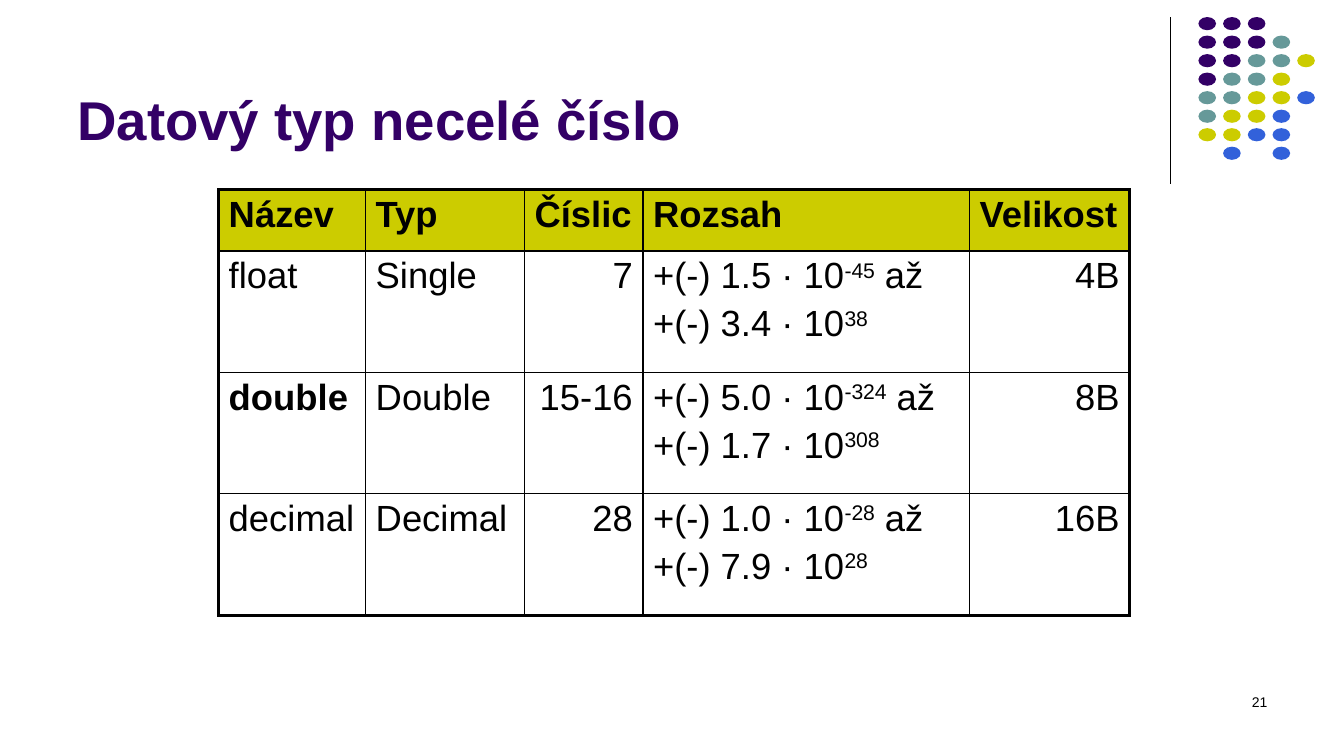
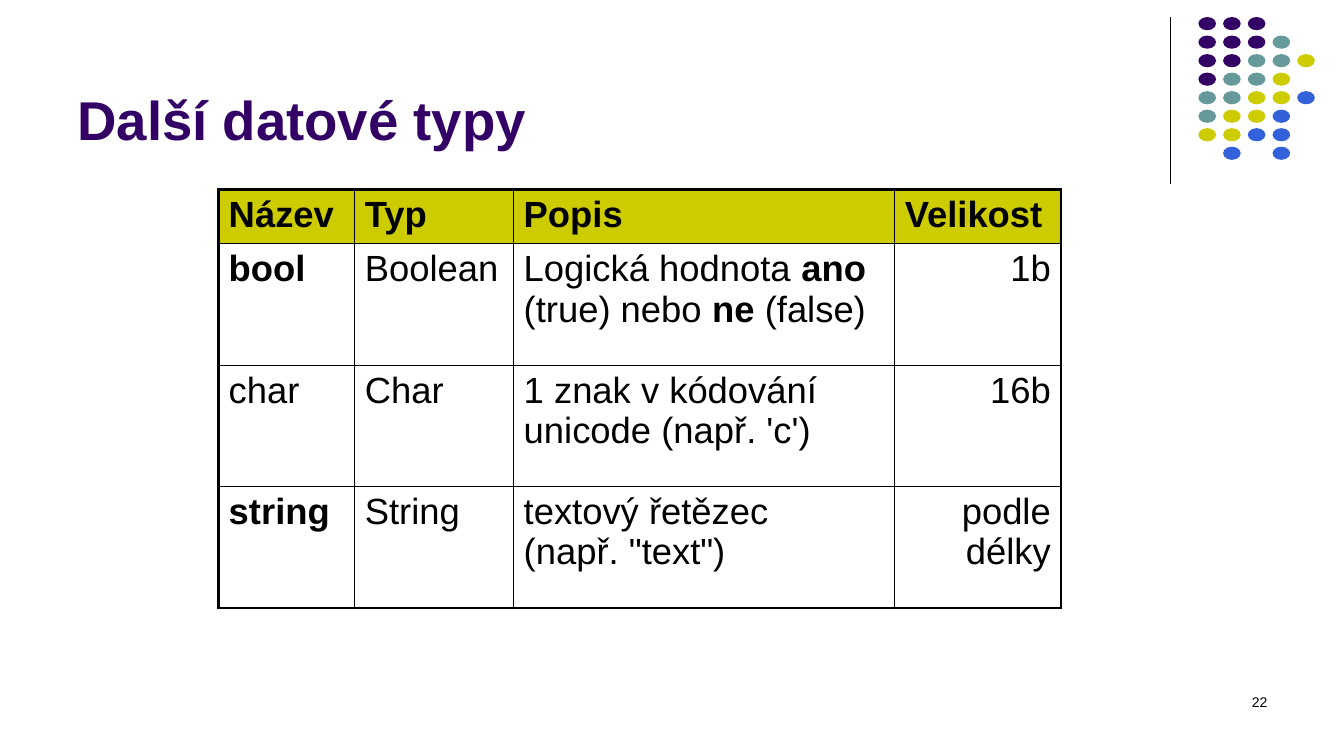
import lxml.etree
import pptx
import pptx.dml.color
import pptx.enum.shapes
import pptx.enum.text
import pptx.oxml.ns
import pptx.util

Pt = pptx.util.Pt
ALIGN = pptx.enum.text.PP_ALIGN
FONT = "Arial"
COLORS = {
    "black": "000000",
    "purple": "330066",
    "teal": "669999",
    "yellow": "CCCC00",
    "blue": "3261DA",
}
DOT_COLORS = {"P": "purple", "T": "teal", "Y": "yellow", "B": "blue"}
DOT_ROWS = ["PPP", "PPPT", "PPTTY", "PTTY", "TTYYB", "TYYB", "YYBB", " B B"]
TITLE_BOX = (48, 9.4, 792, 102.2)
DOTS_BOX = (856, 12.2, 83.2, 102)
NUMBER_BOX = (688.3, 491.8, 224, 36)
TABLE_ORIGIN = (156.2, 135.4)
TABLE_SIZE = 26
OUTER_BORDER = 2.25
INNER_BORDER = 1


def color(name):
    return pptx.dml.color.RGBColor.from_string(COLORS[name])


def points(box):
    return [Pt(length) for length in box]


def write(paragraph, text, size, color_name="black", bold=False, raised=False):
    for index, line in enumerate(text.split("\n")):
        if index:
            paragraph.add_line_break()
        run = paragraph.add_run()
        run.text = line
        run.font.name = FONT
        run.font.size = Pt(size)
        run.font.bold = bold
        run.font.color.rgb = color(color_name)
        if raised:
            run._r.get_or_add_rPr().set("baseline", "30000")


def bold(text):
    return [[(text, {"bold": True})]]


def plain(text):
    return [[(text, {})]]


def power_range(low, low_exponent, high, high_exponent):
    raised = {"raised": True}
    return [
        [(f"+(-) {low} · 10", {}), (low_exponent, raised), (" až", {})],
        [(f"+(-) {high} · 10", {}), (high_exponent, raised)],
    ]


def draw_dots(group, box):
    left, top, width, height = box
    dot_width, dot_height = 12.6, 9.4
    step_x = (width - dot_width) / (max(map(len, DOT_ROWS)) - 1)
    step_y = (height - dot_height) / (len(DOT_ROWS) - 1)
    for row, pattern in enumerate(DOT_ROWS):
        for column, key in enumerate(pattern):
            if key == " ":
                continue
            dot = group.shapes.add_shape(
                pptx.enum.shapes.MSO_SHAPE.OVAL,
                *points((left + column * step_x, top + row * step_y, dot_width, dot_height)),
            )
            dot.shadow.inherit = False
            dot.fill.solid()
            dot.fill.fore_color.rgb = color(DOT_COLORS[key])
            dot.line.fill.background()


def decorate_layout(layout, slide):
    title = layout.placeholders[0]
    title.left, title.top, title.width, title.height = points(TITLE_BOX)
    rule = slide.shapes.add_connector(
        pptx.enum.shapes.MSO_CONNECTOR.STRAIGHT, *points((836, 12.2, 836, 131.8))
    )
    rule.line.color.rgb = color("black")
    rule.line.width = Pt(0.75)
    lxml.etree.SubElement(rule.element.spPr, pptx.oxml.ns.qn("a:effectLst"))
    group = slide.shapes.add_group_shape()
    draw_dots(group, DOTS_BOX)
    for shape in (rule, group):
        layout.shapes.element.append(shape.element)
    for number, properties in enumerate(layout.element.iter(pptx.oxml.ns.qn("p:cNvPr")), 1):
        properties.set("id", str(number))


def set_borders(cell, widths):
    properties = cell._tc.get_or_add_tcPr()
    for side, width in widths.items():
        line = lxml.etree.SubElement(
            properties, pptx.oxml.ns.qn(f"a:{side}"), w=str(int(Pt(width)))
        )
        fill = lxml.etree.SubElement(line, pptx.oxml.ns.qn("a:solidFill"))
        lxml.etree.SubElement(fill, pptx.oxml.ns.qn("a:srgbClr"), val=COLORS["black"])


def fill_cell(cell, paragraphs, alignment):
    frame = cell.text_frame
    for index, runs in enumerate(paragraphs):
        paragraph = frame.add_paragraph() if index else frame.paragraphs[0]
        paragraph.alignment = alignment
        if index:
            paragraph.space_before = Pt(TABLE_SIZE * 0.2)
        for text, text_format in runs:
            write(paragraph, text, TABLE_SIZE, **text_format)


def add_type_table(slide, origin, column_widths, row_heights, rows, right_columns):
    box = (*origin, sum(column_widths), sum(row_heights))
    table = slide.shapes.add_table(len(rows), len(column_widths), *points(box)).table
    table.first_row = False
    table.horz_banding = False
    for column, width in zip(table.columns, column_widths):
        column.width = Pt(width)
    for row, height in zip(table.rows, row_heights):
        row.height = Pt(height)
    last_row, last_column = len(rows) - 1, len(column_widths) - 1
    for row, contents in enumerate(rows):
        for column, paragraphs in enumerate(contents):
            cell = table.cell(row, column)
            edges = {
                "lnL": column == 0,
                "lnR": column == last_column,
                "lnT": row == 0,
                "lnB": row == last_row,
            }
            set_borders(
                cell,
                {side: OUTER_BORDER if outer else INNER_BORDER for side, outer in edges.items()},
            )
            if row == 0:
                cell.fill.solid()
                cell.fill.fore_color.rgb = color("yellow")
            else:
                cell.fill.background()
            to_right = row > 0 and column in right_columns
            fill_cell(cell, paragraphs, ALIGN.RIGHT if to_right else ALIGN.LEFT)


def add_title(slide, text):
    frame = slide.shapes.title.text_frame
    frame.vertical_anchor = pptx.enum.text.MSO_ANCHOR.BOTTOM
    frame.paragraphs[0].alignment = ALIGN.LEFT
    write(frame.paragraphs[0], text, 39, color_name="purple", bold=True)


def add_number(slide, number, box):
    frame = slide.shapes.add_textbox(*points(box)).text_frame
    frame.word_wrap = True
    frame.paragraphs[0].alignment = ALIGN.RIGHT
    write(frame.paragraphs[0], str(number), 10)


TABLE_SLIDES = [
    {
        "title": "Datový typ necelé číslo",
        "number": 21,
        "column_widths": [105, 113.5, 84.6, 233.3, 114.5],
        "row_heights": [43.9, 87, 86.5, 87],
        "right_columns": (2, 4),
        "rows": [
            [bold(name) for name in ("Název", "Typ", "Číslic", "Rozsah", "Velikost")],
            [plain("float"), plain("Single"), plain("7"),
             power_range("1.5", "-45", "3.4", "38"), plain("4B")],
            [bold("double"), plain("Double"), plain("15-16"),
             power_range("5.0", "-324", "1.7", "308"), plain("8B")],
            [plain("decimal"), plain("Decimal"), plain("28"),
             power_range("1.0", "-28", "7.9", "28"), plain("16B")],
        ],
    },
    {
        "title": "Další datové typy",
        "number": 22,
        "column_widths": [97.2, 113.5, 272.2, 118.8],
        "row_heights": [38.2, 87, 86.5, 87],
        "right_columns": (3,),
        "rows": [
            [bold(name) for name in ("Název", "Typ", "Popis", "Velikost")],
            [bold("bool"), plain("Boolean"),
             [[("Logická hodnota ", {}), ("ano", {"bold": True}), (" (true) nebo ", {}),
               ("ne", {"bold": True}), (" (false)", {})]], plain("1b")],
            [plain("char"), plain("Char"),
             plain("1 znak v kódování unicode (např. 'c')"), plain("16b")],
            [bold("string"), plain("String"),
             plain("textový řetězec\n(např. \"text\")"), plain("podle délky")],
        ],
    },
]


def add_table_slide(presentation, layout, content):
    slide = presentation.slides.add_slide(layout)
    add_title(slide, content["title"])
    add_number(slide, content["number"], NUMBER_BOX)
    add_type_table(
        slide,
        TABLE_ORIGIN,
        content["column_widths"],
        content["row_heights"],
        content["rows"],
        content["right_columns"],
    )
    return slide


def main():
    presentation = pptx.Presentation()
    presentation.slide_width = Pt(960)
    presentation.slide_height = Pt(540)
    layout = presentation.slide_layouts[5]
    slides = [add_table_slide(presentation, layout, content) for content in TABLE_SLIDES]
    decorate_layout(layout, slides[0])
    presentation.save("out.pptx")


if __name__ == "__main__":
    main()
